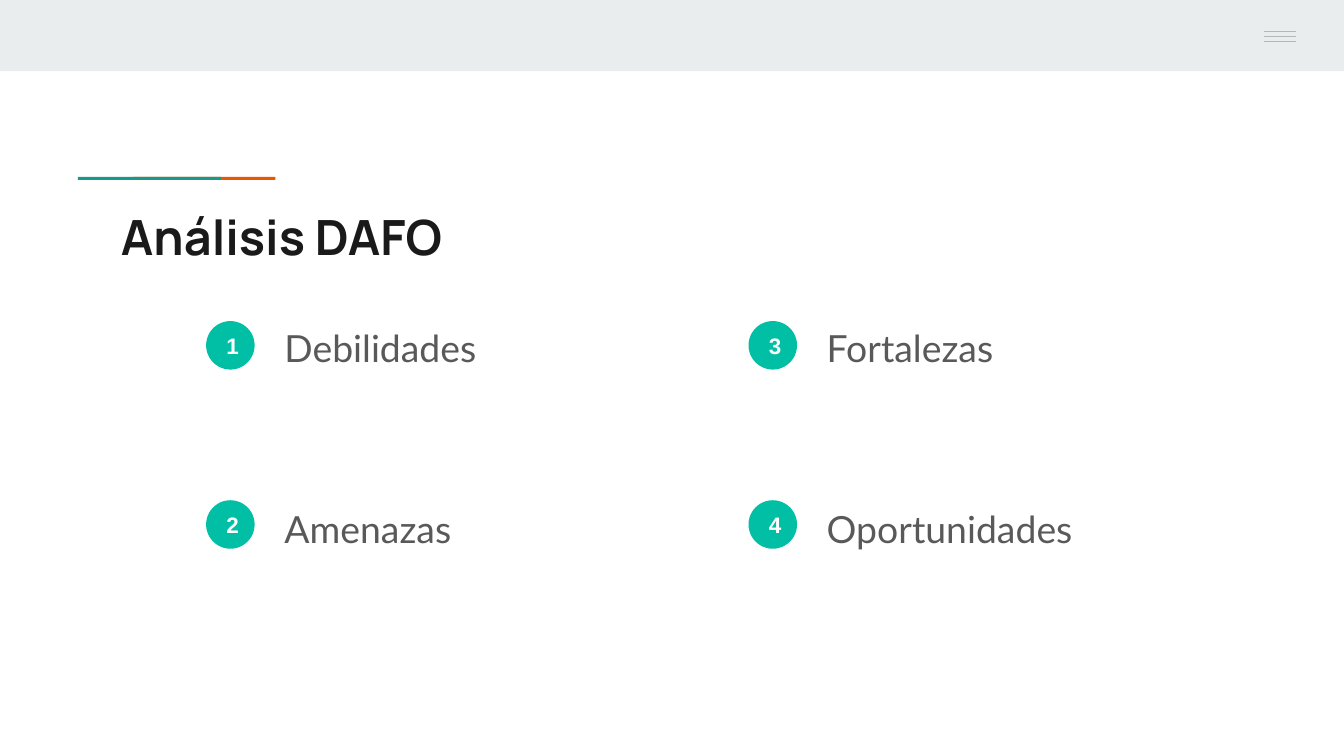
from dataclasses import dataclass
from itertools import product

from lxml.etree import SubElement
from pptx import Presentation
from pptx.dml.color import RGBColor
from pptx.enum.shapes import MSO_CONNECTOR, MSO_SHAPE
from pptx.enum.text import MSO_ANCHOR, MSO_AUTO_SIZE, PP_ALIGN
from pptx.oxml.ns import qn
from pptx.shapes.autoshape import Shape
from pptx.slide import Slide
from pptx.text.text import TextFrame, _Paragraph
from pptx.util import Pt

COLORS = {
    "band": "E9EDEE",
    "orange": "EB5600",
    "teal": "1A9988",
    "menu": "B7B7B7",
    "title": "1A1A1A",
    "badge": "00BFA5",
    "number": "FFFFFF",
    "label": "595959",
}
INSET = 7.2
BADGE_SIZE = 26
BADGE_LEFTS = (110.4, 401)
BADGE_TOPS = (172, 268)
LABEL_LEFTS = (145.3, 435.8)
LABEL_TOPS = (163.4, 260.4)
TOPICS = ("Debilidades", "Amenazas", "Fortalezas", "Oportunidades")


@dataclass
class Area:
    left: float
    top: float
    width: float
    height: float

    def lengths(self) -> tuple[Pt, Pt, Pt, Pt]:
        return Pt(self.left), Pt(self.top), Pt(self.width), Pt(self.height)


@dataclass
class Style:
    font: str
    size: float
    color: str
    bold: bool = False


TITLE = Style("Manrope", 26, "title", True)
NUMBER = Style("Arial", 12, "number", True)
LABEL = Style("Lato", 20, "label")


def color(name: str) -> RGBColor:
    return RGBColor.from_string(COLORS[name])


def add_filled(page: Slide, kind: MSO_SHAPE, area: Area, fill: str) -> Shape:
    shape = page.shapes.add_shape(kind, *area.lengths())
    shape.shadow.inherit = False
    shape.fill.solid()
    shape.fill.fore_color.rgb = color(fill)
    shape.line.fill.background()
    return shape


def add_menu_line(page: Slide, top: float) -> None:
    line = page.shapes.add_connector(
        MSO_CONNECTOR.STRAIGHT, Pt(677), Pt(top), Pt(694.2), Pt(top)
    )
    line.line.color.rgb = color("menu")
    line.line.width = Pt(0.75)
    SubElement(line._element.spPr, qn("a:effectLst"))


def write(frame: TextFrame, text: str, style: Style, anchor: MSO_ANCHOR,
          align: PP_ALIGN = PP_ALIGN.LEFT) -> _Paragraph:
    frame.word_wrap = True
    frame.auto_size = MSO_AUTO_SIZE.NONE
    frame.vertical_anchor = anchor
    frame.margin_left = frame.margin_right = Pt(INSET)
    frame.margin_top = frame.margin_bottom = Pt(INSET)
    para = frame.paragraphs[0]
    para.alignment = align
    span = para.add_run()
    span.text = text
    span.font.name = style.font
    span.font.size = Pt(style.size)
    span.font.bold = style.bold
    span.font.color.rgb = color(style.color)
    return para


def add_title(page: Slide, text: str) -> None:
    title = page.shapes.title
    title.left, title.top, title.width, title.height = Area(57.6, 103.7, 605.5, 42.5).lengths()
    write(title.text_frame, text, TITLE, MSO_ANCHOR.TOP)


def add_badge(page: Slide, area: Area, number: int) -> None:
    badge = add_filled(page, MSO_SHAPE.OVAL, area, "badge")
    write(badge.text_frame, str(number), NUMBER, MSO_ANCHOR.MIDDLE, PP_ALIGN.CENTER)


def add_label(page: Slide, area: Area, text: str) -> None:
    box = page.shapes.add_textbox(*area.lengths())
    para = write(box.text_frame, text, LABEL, MSO_ANCHOR.TOP)
    para.line_spacing = 1.15
    para.space_after = Pt(16)


def main() -> None:
    deck = Presentation()
    deck.slide_width, deck.slide_height = Pt(720), Pt(405)
    page = deck.slides.add_slide(deck.slide_layouts[5])

    for area, fill in (
        (Area(0, 0, 720, 38.2), "band"),
        (Area(71.2, 94.8, 76.3, 1.6), "orange"),
        (Area(41.8, 94.8, 76.6, 1.6), "teal"),
        (Area(652.3, 0, 67.7, 36), "band"),
    ):
        add_filled(page, MSO_SHAPE.RECTANGLE, area, fill)
    for step in range(3):
        add_menu_line(page, 16.9 + 2.65 * step)

    add_title(page, "Análisis DAFO")
    cells = product(range(len(BADGE_LEFTS)), range(len(BADGE_TOPS)))
    for number, (text, (column, row)) in enumerate(zip(TOPICS, cells), 1):
        add_badge(page, Area(BADGE_LEFTS[column], BADGE_TOPS[row], BADGE_SIZE, BADGE_SIZE), number)
        add_label(page, Area(LABEL_LEFTS[column], LABEL_TOPS[row], 223.2, 82.8), text)

    deck.save("out.pptx")


if __name__ == "__main__":
    main()
